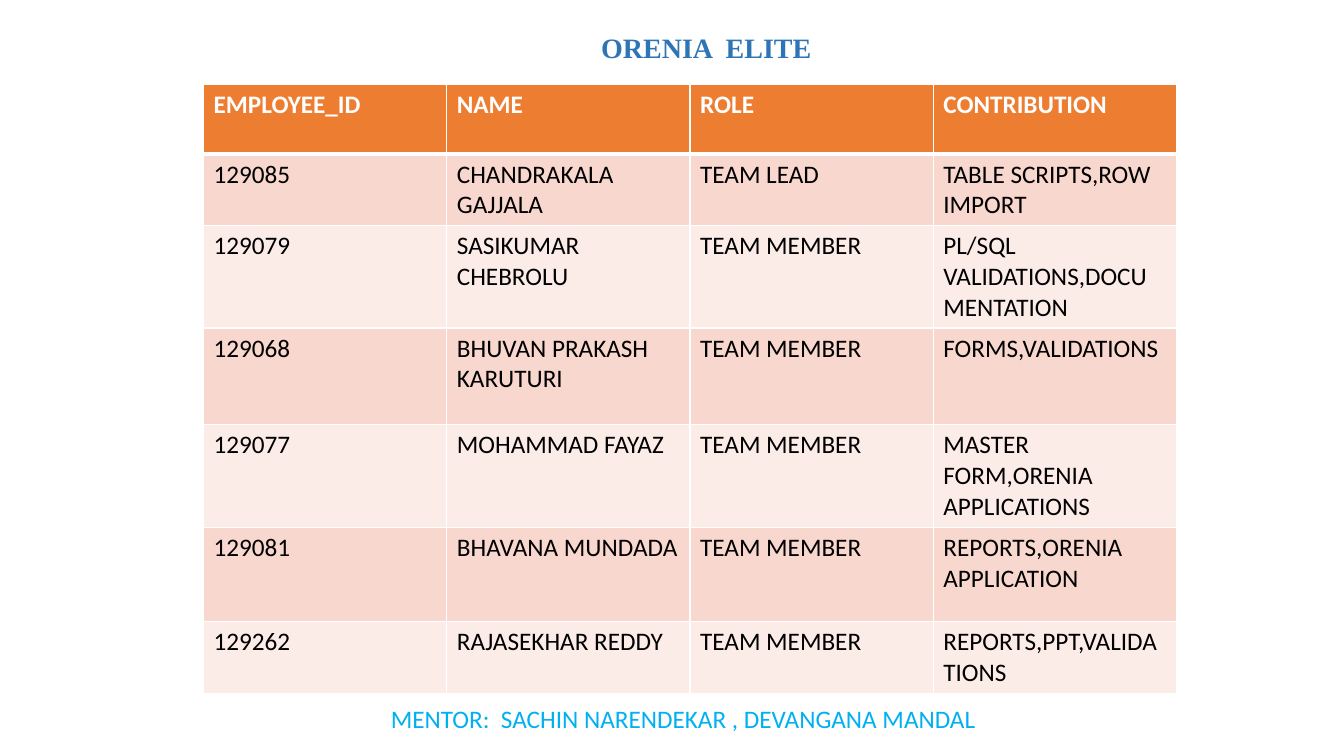
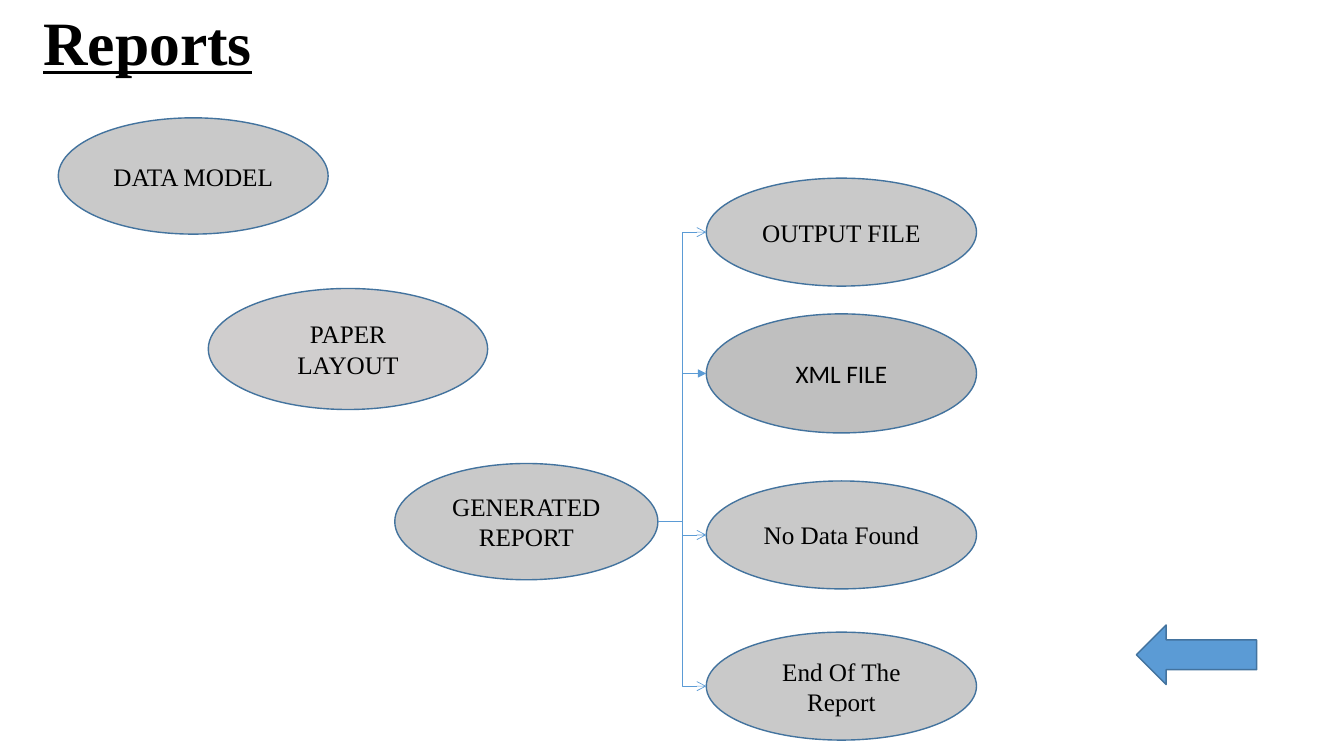
"""Build a team table slide and a report flow slide."""
from lxml import etree
from pptx import Presentation
from pptx import util as u
from pptx.dml import color as c
from pptx.enum import shapes, text
from pptx.oxml import ns

SERIF, SANS = "Times New Roman", "Calibri"
BLACK, WHITE = "000000", "FFFFFF"
BLUE, OUTLINE, GRAY = "5B9BD5", "43739E", "C9C9C9"
HEADER, BANDS = "ED7D31", ("F8D7CE", "FCECE8")

ROW_HEIGHTS = (1.75, 1.75, 2.46, 2.44, 2.46, 2.38, 1.75)
TEAM = (
    ("EMPLOYEE_ID", "NAME", "ROLE", "CONTRIBUTION"),
    ("129085", "CHANDRAKALA GAJJALA", "TEAM LEAD", "TABLE SCRIPTS,ROW IMPORT"),
    ("129079", "SASIKUMAR CHEBROLU", "TEAM MEMBER", "PL/SQL VALIDATIONS,DOCUMENTATION"),
    ("129068", "BHUVAN PRAKASH KARUTURI", "TEAM MEMBER", "FORMS,VALIDATIONS"),
    ("129077", "MOHAMMAD FAYAZ", "TEAM MEMBER", "MASTER FORM,ORENIA APPLICATIONS"),
    ("129081", "BHAVANA MUNDADA", "TEAM MEMBER", "REPORTS,ORENIA APPLICATION"),
    ("129262", "RAJASEKHAR REDDY", "TEAM MEMBER", "REPORTS,PPT,VALIDATIONS"),
)


def rgb(value):
    return c.RGBColor.from_string(value)


def lengths(*values):
    return [u.Cm(value) for value in values]


def write(frame, content, size=18, font=SANS, color=BLACK, bold=False,
          underline=False, align=text.PP_ALIGN.LEFT, spacing=None):
    frame.word_wrap = True
    paragraph = frame.paragraphs[0]
    paragraph.alignment = align
    paragraph.line_spacing = spacing
    run = paragraph.add_run()
    run.text = content
    run.font.size = u.Pt(size)
    run.font.name = font
    run.font.bold = bold
    run.font.underline = underline
    run.font.color.rgb = rgb(color)


def add_text(slide, box, content, anchor=text.MSO_ANCHOR.TOP, **style):
    frame = slide.shapes.add_textbox(*lengths(*box)).text_frame
    frame.vertical_anchor = anchor
    write(frame, content, **style)


def add_shape(slide, kind, box, fill):
    shape = slide.shapes.add_shape(kind, *lengths(*box))
    shape.shadow.inherit = False
    shape.fill.solid()
    shape.fill.fore_color.rgb = rgb(fill)
    shape.line.color.rgb = rgb(OUTLINE)
    shape.line.width = u.Pt(1)
    return shape


def add_ellipse(slide, box, label, fill=GRAY, font=SERIF):
    shape = add_shape(slide, shapes.MSO_SHAPE.OVAL, box, fill)
    shape.text_frame.vertical_anchor = text.MSO_ANCHOR.MIDDLE
    write(shape.text_frame, label, font=font, align=text.PP_ALIGN.CENTER)
    return shape


def add_arrow(slide, kind, start, end, head="arrow"):
    connector = slide.shapes.add_connector(kind, *start, *end)
    connector.line.color.rgb = rgb(BLUE)
    connector.line.width = u.Pt(0.5)
    line = connector.line._get_or_add_ln()
    etree.SubElement(line, ns.qn("a:tailEnd"), type=head)
    etree.SubElement(connector._element.spPr, ns.qn("a:effectLst"))


def set_borders(cell, bottom):
    properties = cell._tc.get_or_add_tcPr()
    for side, width in (("L", 1), ("R", 1), ("T", 1), ("B", bottom)):
        line = etree.SubElement(properties, ns.qn(f"a:ln{side}"), w=str(u.Pt(width)))
        fill = etree.SubElement(line, ns.qn("a:solidFill"))
        etree.SubElement(fill, ns.qn("a:srgbClr"), val=WHITE)


def add_team_table(slide, left, top, column_width):
    columns = len(TEAM[0])
    box = lengths(left, top, column_width * columns, sum(ROW_HEIGHTS))
    table = slide.shapes.add_table(len(TEAM), columns, *box).table
    for column in table.columns:
        column.width = u.Cm(column_width)
    for i, (row, height, values) in enumerate(zip(table.rows, ROW_HEIGHTS, TEAM)):
        row.height = u.Cm(height)
        is_header = i == 0
        for cell, value in zip(row.cells, values):
            set_borders(cell, bottom=3 if is_header else 1)
            cell.fill.solid()
            cell.fill.fore_color.rgb = rgb(HEADER if is_header else BANDS[(i - 1) % 2])
            write(cell.text_frame, value, bold=is_header,
                  color=WHITE if is_header else BLACK)


def build_team(slide):
    add_team_table(slide, 5.13, 2.13, 6.13)
    add_text(slide, (10.9, 0.64, 13.8, 1.12), "ORENIA  ELITE", size=20, font=SERIF,
             color="2E75B6", bold=True, align=text.PP_ALIGN.CENTER)
    add_text(slide, (9.6, 17.6, 15.7, 1.02),
             "MENTOR:  SACHIN NARENDEKAR , DEVANGANA MANDAL", color="00B0F0")


def build_reports(slide):
    add_text(slide, (0.84, 0.05, 22.86, 2.21), "Reports", size=44, font=SERIF, bold=True,
             underline=True, spacing=0.9, anchor=text.MSO_ANCHOR.MIDDLE)
    add_ellipse(slide, (1.47, 2.97, 6.8, 2.93), "DATA MODEL")
    add_ellipse(slide, (5.25, 7.27, 7.04, 3.05), "PAPER LAYOUT", fill="D0CECE")
    report = add_ellipse(slide, (9.95, 11.68, 6.63, 2.93), "GENERATED REPORT")

    left, width, height = 17.8, 6.81, 2.72
    output = add_ellipse(slide, (left, 4.49, width, height), "OUTPUT FILE")
    xml_file = add_ellipse(slide, (left, 7.91, width, 3), "XML FILE", fill="BFBFBF", font=SANS)
    no_data = add_ellipse(slide, (left, 12.12, width, height), "No Data Found")
    end = add_ellipse(slide, (left, 15.93, width, height), "End Of The Report")

    start = report.left + report.width, report.top + report.height // 2
    trunk = (start[0] + output.left) // 2
    for target in (output, end):
        add_arrow(slide, shapes.MSO_CONNECTOR.ELBOW, start,
                  (target.left, target.top + target.height // 2))
    for target, head in ((xml_file, "triangle"), (no_data, "arrow")):
        middle = target.top + target.height // 2
        add_arrow(slide, shapes.MSO_CONNECTOR.STRAIGHT, (trunk, middle),
                  (target.left, middle), head)
    add_shape(slide, shapes.MSO_SHAPE.LEFT_ARROW, (28.64, 15.75, 3.03, 1.5), BLUE)


def main():
    presentation = Presentation()
    presentation.slide_width, presentation.slide_height = lengths(33.87, 19.05)
    for build in (build_team, build_reports):
        build(presentation.slides.add_slide(presentation.slide_layouts[6]))
    presentation.save("out.pptx")


if __name__ == "__main__":
    main()
